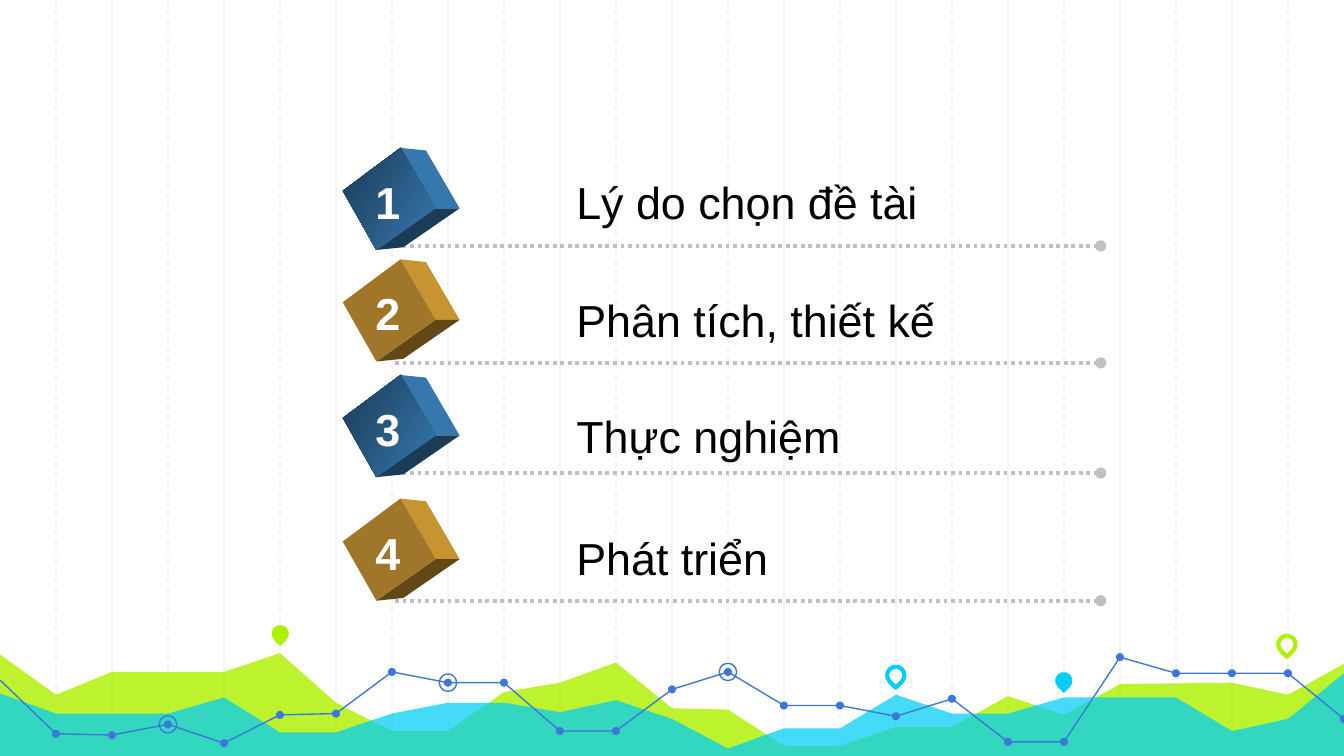
from pptx import Presentation
from pptx import util as u
from pptx.dml.color import RGBColor
from pptx.enum import dml, shapes, text
from pptx.oxml.xmlchemy import OxmlElement

presentation = Presentation()
presentation.slide_width = u.Inches(10)
presentation.slide_height = u.Inches(10 * 9 / 16)
slide = presentation.slides.add_slide(presentation.slide_layouts[6])
canvas = slide.shapes
column = 10 / 24
bottom = 5.65


def paint(shape, fill=None, line=None, width=0.75, opacity=100):
    if fill:
        shape.fill.solid()
        shape.fill.fore_color.rgb = RGBColor.from_string(fill)
        if opacity < 100:
            alpha = OxmlElement("a:alpha")
            alpha.set("val", str(opacity * 1000))
            shape._element.spPr.find(".//{*}srgbClr").append(alpha)
    elif hasattr(shape, "fill"):
        shape.fill.background()
    if line:
        shape.line.color.rgb = RGBColor.from_string(line)
        shape.line.width = u.Pt(width)
    else:
        shape.line.fill.background()
    shape._element.spPr.append(OxmlElement("a:effectLst"))
    return shape


def outline(points, close=True):
    corners = [(u.Inches(x), u.Inches(y)) for x, y in points]
    builder = canvas.build_freeform(*corners[0], scale=1.0)
    builder.add_line_segments(corners[1:], close=close)
    return builder.convert_to_shape()


for first, dash in ((2, None), (1, dml.MSO_LINE.DASH)):
    for step in range(first, 24, 2):
        x = u.Inches(step * column)
        guide = canvas.add_connector(shapes.MSO_CONNECTOR.STRAIGHT, x, 0, x, u.Inches(bottom))
        paint(guide, line="F3F3F3")
        guide.line.dash_style = dash

green_heights = {
    0: 4.87, 1: 5.17, 2: 5, 4: 5, 5: 4.86, 6: 5.23, 7: 5.44, 8: 5.44,
    9: 5.15, 10: 5.08, 11: 4.93, 12: 5.27, 13: 5.28, 14: 5.55, 15: 5.55, 16: 5.41,
    17: 5.41, 18: 5.18, 19: 5.32, 20: 5.09, 22: 5.08, 23: 5.17, 24: 4.94,
}
cyan_heights = {
    0: 5.16, 1: 5.31, 3: 5.31, 4: 5.19, 5: 5.45, 6: 5.45, 7: 5.31, 8: 5.23,
    9: 5.23, 10: 5.3, 11: 5.21, 12: 5.35, 13: 5.57, 14: 5.42, 15: 5.42, 16: 5.17,
    17: 5.31, 18: 5.31, 19: 5.19, 21: 5.19, 22: 5.44, 23: 5.35, 24: 5.01,
}
for heights, color, opacity in ((green_heights, "AFF000", 82), (cyan_heights, "00CEF6", 73)):
    ridge = [(step * column, y) for step, y in heights.items()]
    area = outline(ridge + [(10.02, bottom), (-0.03, bottom)])
    paint(area, color, opacity=opacity)

pins = [
    (2.02, 4.65, "AFF000", True), (6.6, 4.96, "00CEF6", False),
    (7.85, 5, "00CEF6", True), (9.51, 4.73, "AFF000", False),
]
for x, y, color, filled in pins:
    pin = canvas.add_shape(shapes.MSO_SHAPE.TEAR, u.Inches(x), u.Inches(y), u.Inches(0.13), u.Inches(0.13))
    pin.rotation = 135
    if filled:
        paint(pin, color)
    else:
        paint(pin, line=color, width=2.25)

trend_heights = [
    5.06, 5.46, 5.47, 5.39, 5.53, 5.32, 5.31, 5, 5.08, 5.08, 5.44, 5.44, 5.13,
    5, 5.25, 5.25, 5.33, 5.2, 5.52, 5.52, 4.89, 5.01, 5.01, 5.01, 5.35,
]
trend = [(step * column, y) for step, y in enumerate(trend_heights)]
for start, end in ((0, 11), (11, 20), (20, 24)):
    paint(outline(trend[start:end + 1], close=False), line="3C78D8")

dots = [(point, 0.06, "3C78D8", None) for point in trend[1:]]
rings = [(trend[step], 0.13, None, "3C78D8") for step in (3, 8, 13)]
for (x, y), size, fill, line in dots + rings:
    circle = canvas.add_shape(
        shapes.MSO_SHAPE.OVAL, u.Inches(x - size / 2), u.Inches(y - size / 2), u.Inches(size), u.Inches(size))
    paint(circle, fill, line)

cube_faces = [
    [(2.98, -0.1), (3.17, -0.08), (3.42, 0.35), (3.24, 0.35)],
    [(3.24, 0.35), (3.42, 0.35), (3, 0.64), (2.8, 0.66)],
    [(2.55, 0.22), (2.98, -0.1), (3.24, 0.35), (2.8, 0.66)],
]
blue = ("3678AE", "1B3C57", "295C85")
gold = ("C89432", "624817", "A0762A")
agenda = [
    ("Lý do chọn đề tài", 1.2, 1.25, 1.83, 2.77, blue),
    ("Phân tích, thiết kế", 2.03, 2.13, 2.7, 2.89, gold),
    ("Thực nghiệm", 2.89, 2.99, 3.52, 2.19, blue),
    ("Phát triển", 3.81, 3.9, 4.47, 1.64, gold),
]
for number, (label, cube_top, label_top, rule_y, label_width, palette) in enumerate(agenda, 1):
    rule = canvas.add_connector(
        shapes.MSO_CONNECTOR.STRAIGHT, u.Inches(2.94), u.Inches(rule_y), u.Inches(8.19), u.Inches(rule_y))
    paint(rule, line="C0C0C0", width=2)
    rule.line.dash_style = dml.MSO_LINE.ROUND_DOT
    tail = OxmlElement("a:tailEnd")
    tail.set("type", "oval")
    rule.line._get_or_add_ln().append(tail)

    for corners, color in zip(cube_faces, palette):
        face = paint(outline([(x, cube_top + y) for x, y in corners]), color)
    if palette is blue:
        face.fill.gradient()
        face.fill.gradient_angle = 330
        for stop, color in zip(face.fill.gradient_stops, ("1B3A55", "3679B0")):
            stop.color.rgb = RGBColor.from_string(color)

    captions = [
        (label, 4.19, label_top, label_width, "000000", False, text.PP_ALIGN.LEFT),
        (str(number), 2.69, cube_top + 0.05, 0.39, "FFFFFF", True, text.PP_ALIGN.CENTER),
    ]
    for words, x, y, width, color, bold, alignment in captions:
        caption = canvas.add_textbox(u.Inches(x), u.Inches(y), u.Inches(width), u.Inches(0.5))
        caption.text_frame.text = words
        caption.text_frame.word_wrap = False
        caption.text_frame.auto_size = text.MSO_AUTO_SIZE.SHAPE_TO_FIT_TEXT
        paragraph = caption.text_frame.paragraphs[0]
        paragraph.alignment = alignment
        font = paragraph.runs[0].font
        font.name = "Arial"
        font.size = u.Pt(24)
        font.bold = bold
        font.color.rgb = RGBColor.from_string(color)

presentation.save("out.pptx")
